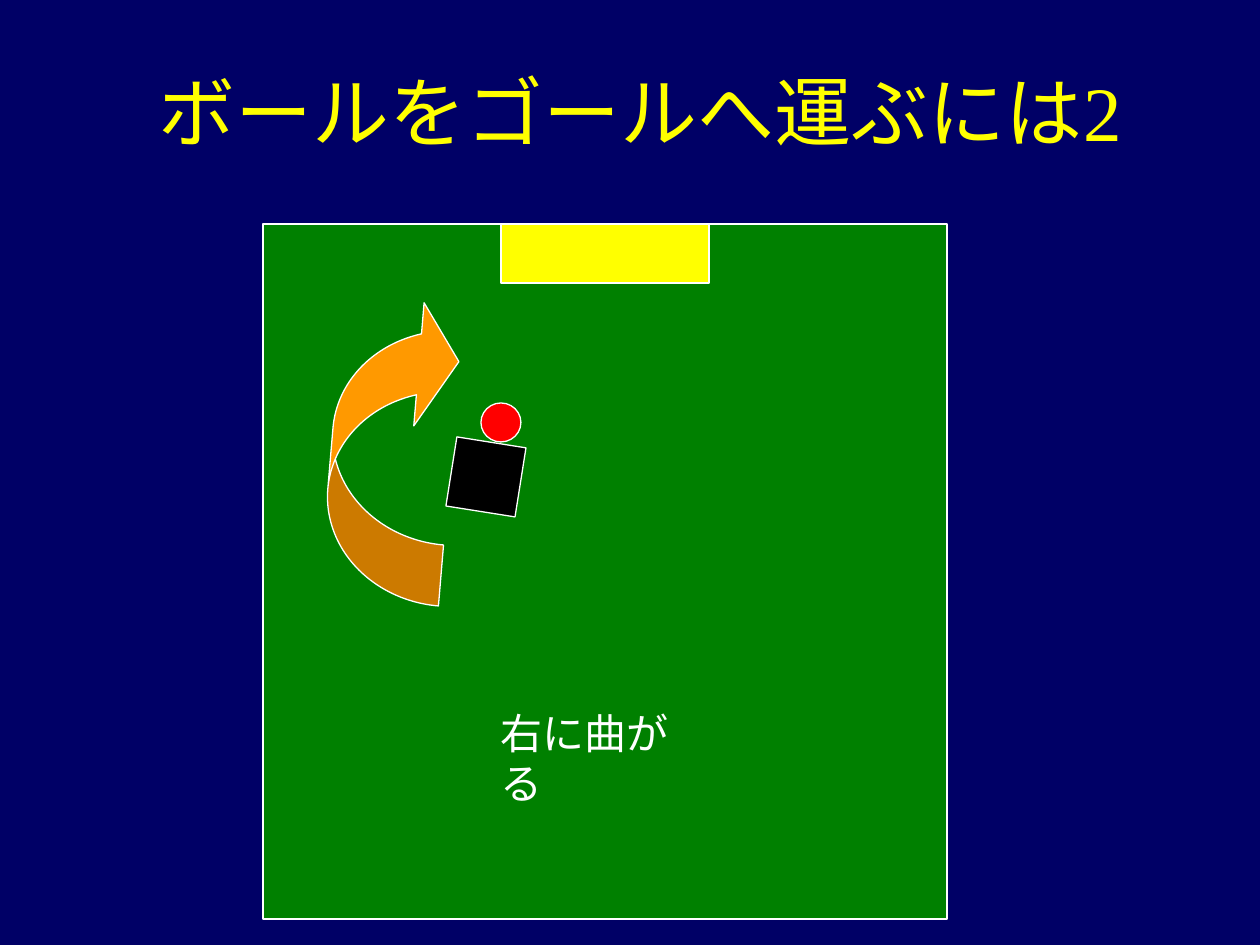
from pptx import Presentation
from pptx import util as u
from pptx.dml.color import RGBColor
from pptx.enum import shapes, text

PX = 914400 // 126
FONT = "Times New Roman"
COLORS = {
    "night": "000066", "grass": "008000", "yellow": "FFFF00", "red": "FF0000",
    "black": "000000", "orange": "FF9900", "white": "FFFFFF",
}
KIND = shapes.MSO_SHAPE

# kind, (left, top, width, height), rotation, fill, adjustments
PARTS = [
    (KIND.RECTANGLE, (263, 224, 684, 695), 0, "grass", ()),  # field
    (KIND.RECTANGLE, (501, 224, 208, 59), 0, "yellow", ()),  # goal
    (KIND.OVAL, (481, 403, 40, 39), 0, "red", ()),  # ball
    (KIND.RECTANGLE, (451, 442, 70, 70), 9, "black", ()),  # robot
    (KIND.CURVED_DOWN_ARROW, (238, 388, 307, 120), 274.8, "orange",
     (0.51, 1.03, 0.33)),  # turn
]

# words, (left, top, width, height), size, color, alignment, anchor, wrap
TEXTS = [
    ("ボールをゴールへ運ぶには2", (105, 32, 1071, 157), 44, "yellow",
     text.PP_ALIGN.CENTER, text.MSO_ANCHOR.MIDDLE, True),
    ("右に曲がる", (488, 701, 234, 63), 24, "white",
     text.PP_ALIGN.LEFT, text.MSO_ANCHOR.TOP, False),
]


def color(name):
    return RGBColor.from_string(COLORS[name])


def place(box):
    return [u.Emu(value * PX) for value in box]


deck = Presentation()
deck.slide_width, deck.slide_height = u.Inches(10), u.Inches(7.5)
page = deck.slides.add_slide(deck.slide_layouts[6])
page.background.fill.solid()
page.background.fill.fore_color.rgb = color("night")

# Field and everything on it
for kind, box, rotation, fill, adjustments in PARTS:
    shape = page.shapes.add_shape(kind, *place(box))
    shape.shadow.inherit = False
    shape.rotation = rotation
    shape.fill.solid()
    shape.fill.fore_color.rgb = color(fill)
    shape.line.color.rgb = color("white")
    shape.line.width = u.Pt(0.75)
    for index, value in enumerate(adjustments):
        shape.adjustments[index] = value

# Title and caption
for words, box, size, ink, alignment, anchor, wrap in TEXTS:
    frame = page.shapes.add_textbox(*place(box)).text_frame
    frame.word_wrap = wrap
    frame.vertical_anchor = anchor
    para = frame.paragraphs[0]
    para.alignment = alignment
    span = para.add_run()
    span.text = words
    span.font.name = FONT
    span.font.size = u.Pt(size)
    span.font.color.rgb = color(ink)

deck.save("out.pptx")
